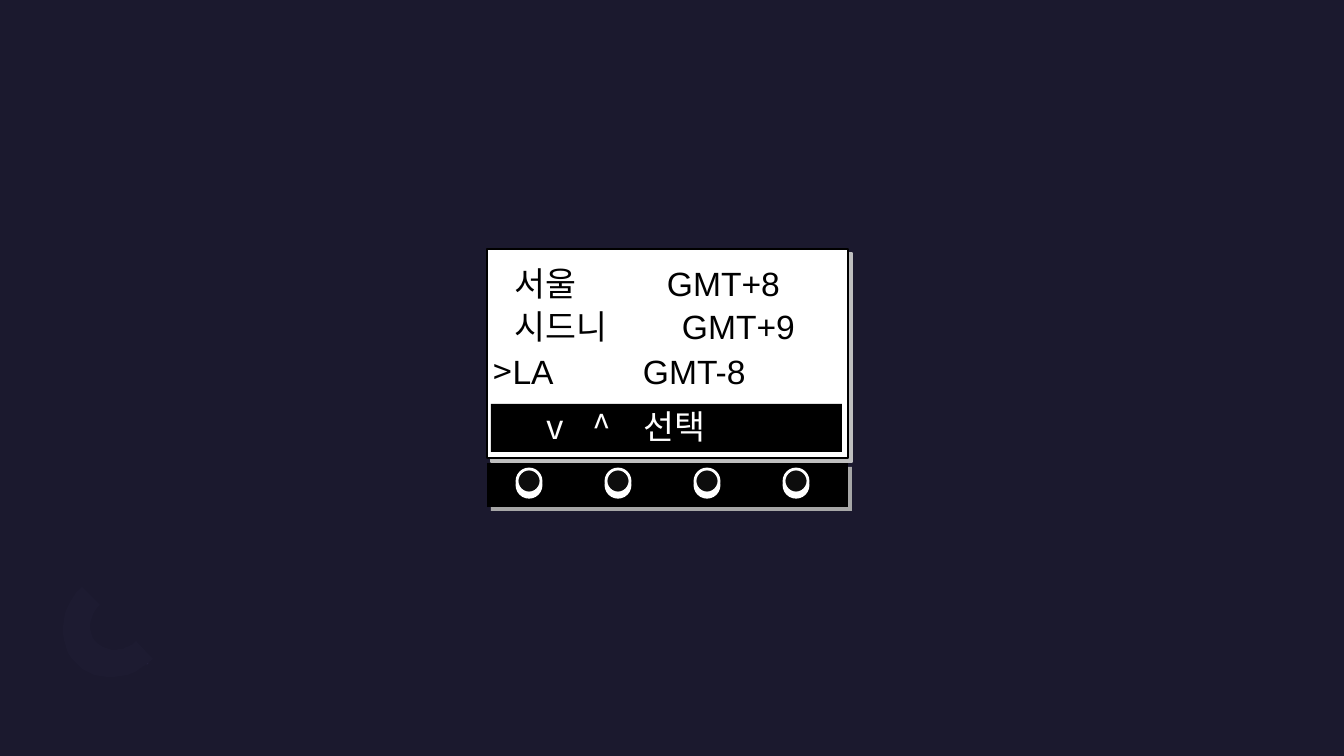
import lxml.etree
import pptx
import pptx.dml.color
import pptx.enum.shapes
import pptx.enum.text
import pptx.oxml.ns
import pptx.util

RGBColor = pptx.dml.color.RGBColor
NIGHT = RGBColor(0x1B, 0x19, 0x2E)
CRESCENT = RGBColor(0x1D, 0x1B, 0x31)
VIOLET = RGBColor(0x2C, 0x28, 0x4A)
WHITE = RGBColor(0xFF, 0xFF, 0xFF)
BLACK = RGBColor(0x00, 0x00, 0x00)
BUTTON = RGBColor(0x0D, 0x0D, 0x0D)
SCREEN_SHADOW = RGBColor(0xBF, 0xBF, 0xBF)
PANEL_SHADOW = RGBColor(0xA6, 0xA6, 0xA6)
KOREAN_FONT = "Noto Sans CJK KR"
LATIN_FONT = "Arial"
PX = 914400 / 100.8
RECTANGLE = pptx.enum.shapes.MSO_SHAPE.RECTANGLE
OVAL = pptx.enum.shapes.MSO_SHAPE.OVAL
qn = pptx.oxml.ns.qn

presentation = pptx.Presentation()
presentation.slide_width = round(1344 * PX)
presentation.slide_height = round(756 * PX)
slide = presentation.slides.add_slide(presentation.slide_layouts[6])
slide.background.fill.solid()
slide.background.fill.fore_color.rgb = NIGHT


def add_block(kind, box, fill, line=None, width=1):
    shape = slide.shapes.add_shape(kind, *[round(value * PX) for value in box])
    shape.shadow.inherit = False
    shape.fill.solid()
    shape.fill.fore_color.rgb = fill
    if line is None:
        shape.line.fill.background()
    else:
        shape.line.color.rgb = line
        shape.line.width = pptx.util.Pt(width)
    return shape


def cast_shadow(shape, color, distance, angle):
    effects = shape._element.spPr.find(qn("a:effectLst"))
    shadow = lxml.etree.SubElement(
        effects, qn("a:outerShdw"), dist=str(pptx.util.Pt(distance)),
        dir=str(angle * 60000), algn="tl", rotWithShape="0")
    lxml.etree.SubElement(shadow, qn("a:srgbClr"), val=str(color))


for left, top in [(136, 642), (83, 588)]:
    add_block(OVAL, (left, top, 6, 26), VIOLET).rotation = 135

crescent_curves = [
    [(77, 664), (56, 644), (58, 610), (82, 587)],
    [(100, 605), (88, 616), (87, 634), (97, 643)],
    [(97, 643), (107, 653), (124, 652), (136, 641)],
    [(153, 659), (131, 681), (96, 684), (77, 664)],
]
outline = []
for curve in crescent_curves:
    for step in range(13):
        t = step / 12
        weights = [(1 - t) ** 3, 3 * t * (1 - t) ** 2, 3 * t * t * (1 - t), t ** 3]
        outline.append([sum(weight * point[axis] for weight, point in zip(weights, curve))
                        for axis in range(2)])
builder = slide.shapes.build_freeform(*outline[0], scale=PX)
builder.add_line_segments(outline[1:], close=True)
crescent = builder.convert_to_shape()
crescent.shadow.inherit = False
crescent.fill.solid()
crescent.fill.fore_color.rgb = CRESCENT
crescent.line.fill.background()

screen = add_block(RECTANGLE, (487, 249, 361, 209), WHITE, BLACK)
cast_shadow(screen, SCREEN_SHADOW, 4, 45)
add_block(RECTANGLE, (491, 404, 351, 48), BLACK)
panel = add_block(RECTANGLE, (487, 463, 361, 44), BLACK)
cast_shadow(panel, PANEL_SHADOW, 4, 45)

for index in range(4):
    button = add_block(OVAL, (517 + 89 * index, 469, 24, 24), BUTTON, WHITE, 2)
    cast_shadow(button, WHITE, 3, 90)

display_lines = [
    (485, 401, WHITE, [52, 98, 149], [("\tv\t^\t선택", KOREAN_FONT)]),
    (497, 258, BLACK, [8, 160], [("\t서울\t", KOREAN_FONT), ("GMT+8", LATIN_FONT)]),
    (497, 301, BLACK, [8, 175], [("\t시드니\t", KOREAN_FONT), ("GMT+9", LATIN_FONT)]),
    (484, 346, BLACK, [149], [(">", KOREAN_FONT), ("LA\tGMT-8", LATIN_FONT)]),
]
for left, top, color, stops, pieces in display_lines:
    box = slide.shapes.add_textbox(*[round(value * PX) for value in (left, top, 363, 50)])
    frame = box.text_frame
    frame.word_wrap = True
    frame.auto_size = pptx.enum.text.MSO_AUTO_SIZE.SHAPE_TO_FIT_TEXT
    paragraph = frame.paragraphs[0]
    tabs = lxml.etree.SubElement(paragraph._p.get_or_add_pPr(), qn("a:tabLst"))
    for stop in stops:
        lxml.etree.SubElement(tabs, qn("a:tab"), pos=str(round(stop * PX)), algn="l")
    paragraph.font.size = pptx.util.Pt(24)
    paragraph.font.color.rgb = color
    for text, font_name in pieces:
        run = paragraph.add_run()
        run.text = text
        run.font.name = font_name
        lxml.etree.SubElement(run.font._element, qn("a:ea"), typeface=KOREAN_FONT)

presentation.save("out.pptx")
